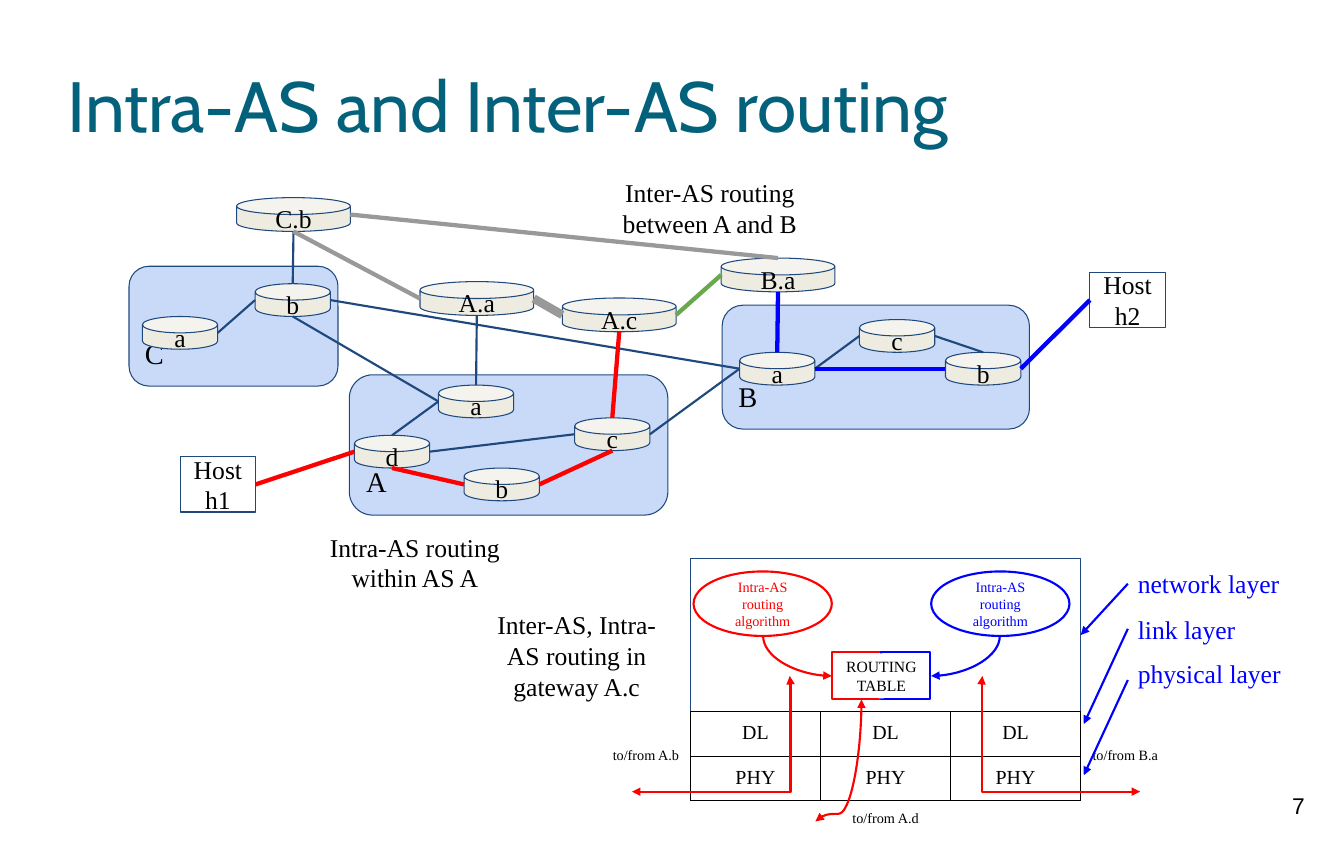
import collections

import pptx
import pptx.dml.color
import pptx.enum.shapes
import pptx.enum.text
import pptx.oxml.ns
import pptx.util
from lxml import etree

CELL = pptx.util.Inches(0.1)
SERIF = "Times New Roman"
COLORS = {"title": "04617B", "navy": "1F497D", "area": "C9DAF8", "router": "EEECE1",
          "black": "000000", "white": "FFFFFF", "red": "FF0000", "blue": "0000FF",
          "grey": "999999", "green": "6AA84F"}
SHAPE = pptx.enum.shapes.MSO_SHAPE
ANCHOR = pptx.enum.text.MSO_ANCHOR
ALIGN = pptx.enum.text.PP_ALIGN
Box = collections.namedtuple("Box", "col row cols rows")

AREAS = {"B": (58.5, 13.8, 30, 12.1), "A": (22.1, 20.6, 31.1, 13.7), "C": (0.6, 10, 20.4, 11.7)}
ROUTERS = {"Ca": (1.9, 14.9), "Cb": (12.9, 11.7), "Aa": (30.8, 21.6), "Ab": (33.3, 29.7),
           "Ac": (44.1, 24.8), "Ad": (22.6, 26.5), "Ba": (60.2, 18.4), "Bb": (80.3, 18.4),
           "Bc": (71.9, 15.2)}
GATEWAYS = {"A.a": (29, 11.5), "A.c": (42.9, 13.1), "B.a": (58.4, 9.2), "C.b": (11.1, 3.3)}
HOSTS = {"h1": (5.6, 28.6), "h2": (94.4, 10.6)}
LINKS = [
    ("navy", 1.5, ["Cb left Ca right", "Aa left Ad top", "Ad right Ac left", "Cb bottom Aa left",
                   "Bc left Ba right", "Bc right Bb top", "Cb right Ba left", "Ac right Ba left",
                   "Cb top C.b bottom", "Aa top A.a bottom"]),
    ("red", 3, ["Ad left h1 right", "Ad bottom Ab left", "Ab right Ac bottom", "Ac top A.c bottom"]),
    ("grey", 3, ["C.b bottom A.a left", "C.b right B.a top"]),
    ("grey", 6, ["A.a right A.c left"]),
    ("green", 3, ["A.c right B.a left"]),
    ("blue", 3, ["B.a bottom Ba top", "Ba right Bb left", "Bb right h2 left"]),
]
SIDES = ["top", "left", "bottom", "right"]


def rgb(name):
    return pptx.dml.color.RGBColor.from_string(COLORS[name])


def place(box, x, y, w, h):
    return [round(n * CELL) for n in (box.col + x, box.row + y, w, h)]


def write(tf, text, size, color="black", font=SERIF, align=ALIGN.CENTER, anchor=ANCHOR.TOP, inset=1):
    tf.word_wrap = True
    tf.vertical_anchor = anchor
    tf.margin_left = tf.margin_right = tf.margin_top = tf.margin_bottom = inset * CELL
    tf.text = text
    for p in tf.paragraphs:
        p.alignment = align
        p.font.size = pptx.util.Pt(size)
        p.font.name = font
        p.font.color.rgb = rgb(color)


def add_text(s, box, bounds, text, size, **style):
    sp = s.shapes.add_textbox(*place(box, *bounds))
    write(sp.text_frame, text, size, **style)
    return sp


def add_shape(s, box, kind, bounds, fill=None, line="navy", width=0.75):
    sp = s.shapes.add_shape(kind, *place(box, *bounds))
    sp.shadow.inherit = False
    if fill:
        sp.fill.solid()
        sp.fill.fore_color.rgb = rgb(fill)
    else:
        sp.fill.background()
    if line:
        sp.line.color.rgb = rgb(line)
        sp.line.width = pptx.util.Pt(width)
    else:
        sp.line.fill.background()
    return sp


def style_line(c, color, width, arrows=()):
    c.line.color.rgb = rgb(color)
    c.line.width = pptx.util.Pt(width)
    ln = c.line._get_or_add_ln()
    for end in arrows:
        etree.SubElement(ln, pptx.oxml.ns.qn(f"a:{end}End"), type="triangle")
    etree.SubElement(c._element.spPr, pptx.oxml.ns.qn("a:effectLst"))


def add_line(s, start, end, color, width, arrows=()):
    c = s.shapes.add_connector(pptx.enum.shapes.MSO_CONNECTOR.STRAIGHT, *start, *end)
    style_line(c, color, width, arrows)
    return c


def add_routed(s, box, preset, bounds, turn, flip, color, arrows, bend=None):
    x, y, w, h = place(box, *bounds)
    c = s.shapes.add_connector(pptx.enum.shapes.MSO_CONNECTOR.CURVE, x, y, x + w, y + h)
    xfrm = c._element.spPr.find(pptx.oxml.ns.qn("a:xfrm"))
    xfrm.set("rot", str(turn * 60000))
    if flip:
        xfrm.set("flipH", "1")
    geom = c._element.spPr.find(pptx.oxml.ns.qn("a:prstGeom"))
    geom.set("prst", preset)
    if bend:
        guides = geom.find(pptx.oxml.ns.qn("a:avLst"))
        etree.SubElement(guides, pptx.oxml.ns.qn("a:gd"), name="adj1", fmla=f"val {bend}")
    style_line(c, color, 1.5, arrows)


def side_point(sp, side):
    return {"top": (sp.left + sp.width // 2, sp.top),
            "left": (sp.left, sp.top + sp.height // 2),
            "bottom": (sp.left + sp.width // 2, sp.top + sp.height),
            "right": (sp.left + sp.width, sp.top + sp.height // 2)}[side]


def draw_heading(s, box):
    add_text(s, box, (0, 0, box.cols, box.rows), "Intra-AS and Inter-AS routing", 50,
             color="title", font="Cabin", align=ALIGN.LEFT, anchor=ANCHOR.MIDDLE, inset=0)


def draw_network(s, box):
    for name, bounds in AREAS.items():
        area = add_shape(s, box, SHAPE.ROUNDED_RECTANGLE, bounds, "area")
        write(area.text_frame, name, 20, align=ALIGN.LEFT, anchor=ANCHOR.BOTTOM)
    nodes = {}
    for group, w, h in ((ROUTERS, 7.35, 3.2), (GATEWAYS, 11.1, 3.3)):
        for name, spot in group.items():
            sp = nodes[name] = add_shape(s, box, SHAPE.CAN, (*spot, w, h), "router")
            sp.adjustments[0] = 0.5
            write(sp.text_frame, name if group is GATEWAYS else name[-1], 18, anchor=ANCHOR.MIDDLE)
    for name, spot in HOSTS.items():
        sp = nodes[name] = add_shape(s, box, SHAPE.RECTANGLE, (*spot, 7.35, 5.4))
        write(sp.text_frame, f"Host\v{name}", 18, anchor=ANCHOR.MIDDLE)
    for color, width, links in LINKS:
        for link in links:
            first, first_side, last, last_side = link.split()
            c = add_line(s, side_point(nodes[first], first_side),
                         side_point(nodes[last], last_side), color, width)
            if last in HOSTS:
                c.end_connect(nodes[last], SIDES.index(last_side))
    add_text(s, box, (47.1, 0.3, 20.4, 8.1), "Inter-AS routing between A and B", 18)
    add_text(s, box, (18.3, 34.9, 20.4, 8.1), "Intra-AS routing within AS A", 18)


def draw_layer_table(s, box, bounds):
    frame = s.shapes.add_table(2, 3, *place(box, *bounds))
    table = frame.table
    table.first_row = table.horz_banding = False
    for row, text in zip(table.rows, ("DL", "PHY")):
        for cell in row.cells:
            write(cell.text_frame, text, 14)
            cell.margin_left = cell.margin_right = cell.margin_top = cell.margin_bottom = CELL
            cell.fill.background()
            for i, edge in enumerate("LRTB"):
                ln = etree.Element(pptx.oxml.ns.qn(f"a:ln{edge}"), w=str(pptx.util.Pt(0.75)))
                fill = etree.SubElement(ln, pptx.oxml.ns.qn("a:solidFill"))
                etree.SubElement(fill, pptx.oxml.ns.qn("a:srgbClr"), val=COLORS["black"])
                cell._tc.get_or_add_tcPr().insert(i, ln)


def draw_gateway(s, box):
    panel = add_shape(s, box, SHAPE.RECTANGLE, (0, 0, box.cols, 15))
    for x, half, color in ((0.3, 13.8, "red"), (23.5, 18.6, "blue")):
        sp = add_shape(s, box, SHAPE.OVAL, (x, 1.3, 13.5, 6.3), line=color, width=1.5)
        write(sp.text_frame, "Intra-AS routing algorithm", 10, color, anchor=ANCHOR.MIDDLE)
        add_shape(s, box, SHAPE.RECTANGLE, (half, 9.2, 4.8, 4.6), line=color, width=1.5)
    add_shape(s, box, SHAPE.RECTANGLE, (18.4, 9.3, 0.5, 4.4), "white", line=None)
    add_text(s, box, (13.8, 9.2, 9.7, 4.6), "ROUTING\vTABLE", 11, anchor=ANCHOR.MIDDLE)
    draw_layer_table(s, box, (0, 15, box.cols, box.rows - 15))
    both = ("head", "tail")
    for preset, bounds, turn, flip, color, arrows, bend in (
            ("curvedConnector2", (8.5, 6.2, 3.9, 6.7), 270, True, "red", ("tail",), None),
            ("curvedConnector2", (24.9, 6.2, 3.9, 6.7), 90, False, "blue", ("tail",), None),
            ("bentConnector3", (28.5, 11.5, 15.4, 11.3), 180, False, "red", both, 100500),
            ("bentConnector3", (-5.7, 11.5, 15.4, 11.3), 180, True, "red", both, 100500),
            ("curvedConnector3", (8.5, 17.5, 11.9, 4.5), 90, False, "red", both, 93800)):
        add_routed(s, box, preset, bounds, turn, flip, color, arrows, bend)
    add_text(s, box, (-21.3, 4, 20.4, 11.1), "Inter-AS, Intra-AS routing in gateway A.c", 18)
    for name, x, y in (("A.b", -8.7, 17.5), ("B.a", box.cols, 17.5), ("A.d", 14.7, box.rows)):
        add_text(s, box, (x, y, 8.7, 3.7), f"to/from {name}", 10)
    return panel


def draw_layer_names(s, box, panel):
    middle = 2.5
    for text, top, drop, tip in (("network layer", 0, middle, (0, 7.5)),
                                 ("link layer", 4.4, middle, (0.3, 16.2)),
                                 ("physical layer", 8.7, 3.2, (0.3, 21.2))):
        label = add_text(s, box, (4.6, top, box.cols - 4.6, 2 * middle), text, 18,
                         color="blue", align=ALIGN.LEFT)
        start = place(box, 4.6, top + drop, 0, 0)[:2]
        c = add_line(s, start, place(box, *tip, 0, 0)[:2], "blue", 1.5, ("tail",))
        if drop == middle:
            c.begin_connect(label, 1)
        if top == 0:
            c.end_connect(panel, 3)


def draw_page_number(s, box):
    add_text(s, box, (0, 0, box.cols, box.rows), "7", 16, font="Arial")


def main():
    prs = pptx.Presentation()
    prs.slide_width, prs.slide_height = round(131.2 * CELL), round(82.7 * CELL)
    s = prs.slides.add_slide(prs.slide_layouts[6])
    draw_heading(s, Box(6.6, 3.3, 118.1, 13.8))
    draw_network(s, Box(12, 16, 102, 43))
    panel = draw_gateway(s, Box(67.4, 54.5, 38.1, 23.7))
    draw_layer_names(s, Box(105.5, 54.5, 25, 21.2), panel)
    draw_page_number(s, Box(122.8, 76.3, 7.9, 6.3))
    prs.save("out.pptx")


if __name__ == "__main__":
    main()
